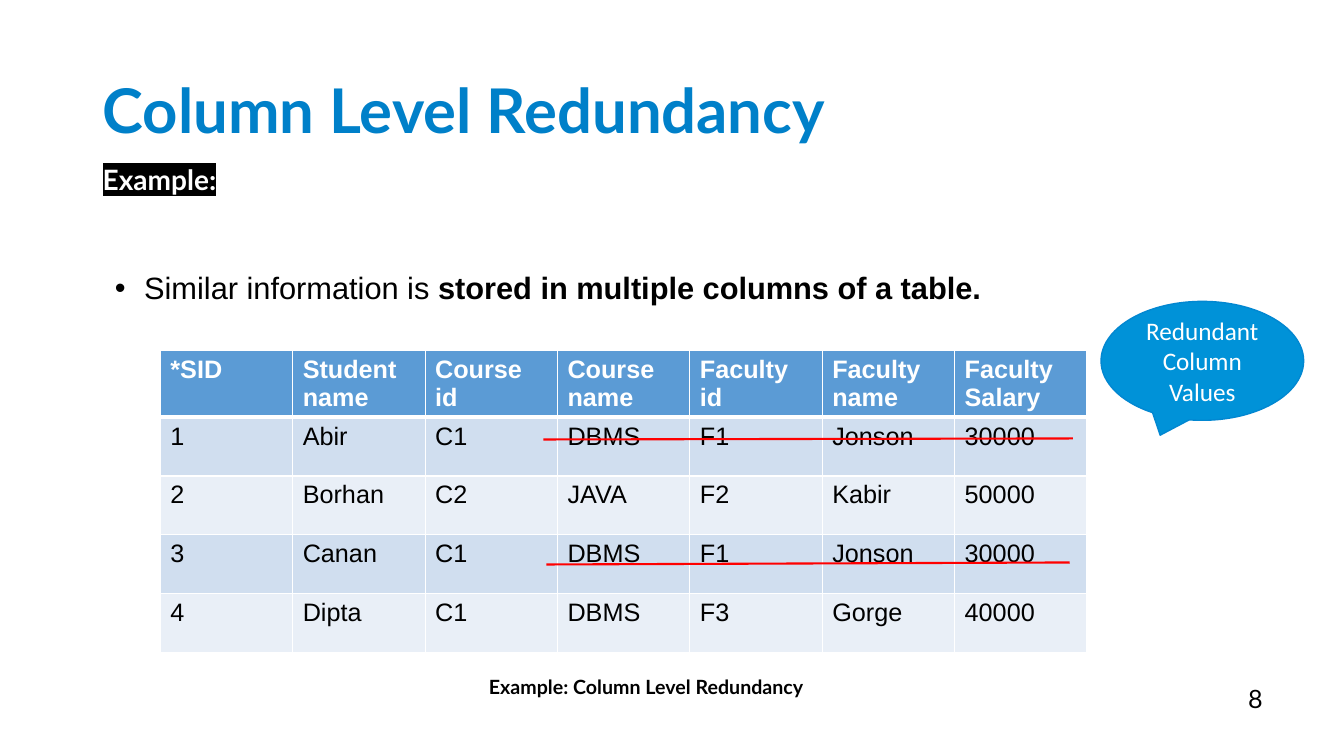
from dataclasses import dataclass

from lxml import etree
from pptx import Presentation
from pptx.dml.color import RGBColor
from pptx.enum.shapes import MSO_CONNECTOR, MSO_SHAPE
from pptx.enum.text import MSO_ANCHOR, MSO_AUTO_SIZE, PP_ALIGN
from pptx.oxml.ns import qn
from pptx.util import Inches, Pt

LEFT, CENTER = PP_ALIGN.LEFT, PP_ALIGN.CENTER
MIDDLE, TOP = MSO_ANCHOR.MIDDLE, MSO_ANCHOR.TOP
NO_FIT = MSO_AUTO_SIZE.NONE
STRAIGHT = MSO_CONNECTOR.STRAIGHT
CALLOUT = MSO_SHAPE.OVAL_CALLOUT


@dataclass(frozen=True)
class Theme:
    """Colours, fonts and type sizes of the slide."""
    title: str = "0080C9"
    black: str = "000000"
    white: str = "FFFFFF"
    header: str = "5B9BD5"
    bands: tuple = ("D0DEEF", "E9EFF7")
    strike: str = "FF0000"
    callout: str = "0092D8"
    callout_line: str = "0287D1"
    heading_font: str = "Lato"
    body_font: str = "Arial"
    callout_font: str = "Calibri"
    title_size: int = 44
    body_size: int = 22
    label_size: int = 20
    text_size: int = 18
    caption_size: int = 14


THEME = Theme()

STUDENTS = [
    ["*SID", "Student name", "Course id", "Course name", "Faculty id",
     "Faculty name", "Faculty\nSalary"],
    ["1", "Abir", "C1", "DBMS", "F1", "Jonson", "30000"],
    ["2", "Borhan", "C2", "JAVA", "F2", "Kabir", "50000"],
    ["3", "Canan", "C1", "DBMS", "F1", "Jonson", "30000"],
    ["4", "Dipta", "C1", "DBMS", "F3", "Gorge", "40000"],
]


def rgb(color):
    """Turn a hex string into a colour."""
    return RGBColor.from_string(color)


def format_text(tf, font, size, color, bold=False, align=LEFT):
    """Format every run of a text frame alike."""
    for p in tf.paragraphs:
        p.alignment = align
        for r in p.runs:
            r.font.name = font
            r.font.size = Pt(size)
            r.font.bold = bold
            r.font.color.rgb = rgb(color)


def place(sp, left, top, width, height):
    """Move and size a shape, in inches."""
    sp.left, sp.top = Inches(left), Inches(top)
    sp.width, sp.height = Inches(width), Inches(height)


def set_title(slide, text):
    """Fill the title placeholder."""
    sp = slide.shapes.title
    place(sp, 0.92, 0.4, 11.5, 1.45)
    tf = sp.text_frame
    tf.text = text
    tf.auto_size = NO_FIT
    tf.vertical_anchor = MIDDLE
    tf.paragraphs[0].line_spacing = 0.9
    format_text(tf, THEME.heading_font, THEME.title_size, THEME.title, True)


def set_bullet(slide, plain, strong):
    """Fill the body placeholder with one bullet that ends in bold."""
    sp = slide.placeholders[1]
    place(sp, 1, 2.66, 11.5, 4.12)
    tf = sp.text_frame
    tf.auto_size = NO_FIT
    tf.vertical_anchor = TOP
    p = tf.paragraphs[0]
    pPr = p._p.get_or_add_pPr()
    pPr.set("marL", str(Inches(0.33)))
    pPr.set("indent", str(-Inches(0.29)))
    etree.SubElement(pPr, qn("a:buFont"), typeface=THEME.body_font)
    etree.SubElement(pPr, qn("a:buChar"), char="•")
    p.line_spacing = 0.9
    p.space_before = Pt(0)
    for text in (plain, strong):
        p.add_run().text = text
    format_text(tf, THEME.body_font, THEME.body_size, THEME.black)
    p.runs[-1].font.bold = True


def add_label(slide, text, box, size, color, inset=0.1, **style):
    """Add a text box in the heading font."""
    sp = slide.shapes.add_textbox(*map(Inches, box))
    tf = sp.text_frame
    tf.word_wrap = True
    tf.margin_top = tf.margin_bottom = Inches(inset)
    tf.text = text
    format_text(tf, THEME.heading_font, size, color, **style)
    return sp


def highlight(sp, color):
    """Put a highlight behind the runs of a shape."""
    for r in sp.text_frame.paragraphs[0].runs:
        mark = etree.Element(qn("a:highlight"))
        etree.SubElement(mark, qn("a:srgbClr"), val=color)
        r.font._element.find(qn("a:solidFill")).addnext(mark)


def set_borders(cell, top, bottom):
    """Draw white borders around a cell, with widths in points."""
    tcPr = cell._tc.get_or_add_tcPr()
    for side, width in (("L", 1), ("R", 1), ("T", top), ("B", bottom)):
        ln = etree.SubElement(tcPr, qn(f"a:ln{side}"), w=str(Pt(width)))
        fill = etree.SubElement(ln, qn("a:solidFill"))
        etree.SubElement(fill, qn("a:srgbClr"), val=THEME.white)


def add_student_table(slide, rows):
    """Add the table with a header row and banded rows."""
    n_rows, n_cols = len(rows), len(rows[0])
    frame = slide.shapes.add_table(
        n_rows, n_cols, Inches(1.59), Inches(3.48),
        Inches(1.313 * n_cols), Inches(0.583 * n_rows))
    for i, row in enumerate(rows):
        is_header = i == 0
        fill = THEME.header if is_header else THEME.bands[(i - 1) % 2]
        color = THEME.white if is_header else THEME.black
        for j, text in enumerate(row):
            cell = frame.table.cell(i, j)
            cell.text_frame.text = text
            format_text(cell.text_frame, THEME.body_font, THEME.text_size,
                        color, is_header)
            set_borders(cell, 3 if i == 1 else 1, 3 if is_header else 1)
            cell.fill.solid()
            cell.fill.fore_color.rgb = rgb(fill)


def add_strike(slide, *ends):
    """Add a red line across redundant values."""
    line = slide.shapes.add_connector(STRAIGHT, *map(Inches, ends))
    line.line.color.rgb = rgb(THEME.strike)
    line.line.width = Pt(1.5)
    etree.SubElement(line._element.spPr, qn("a:effectLst"))


def add_callout(slide, text):
    """Add the speech bubble beside the table."""
    sp = slide.shapes.add_shape(
        CALLOUT, Inches(10.92), Inches(2.99), Inches(2.01), Inches(1.18))
    sp.shadow.inherit = False
    sp.adjustments[0], sp.adjustments[1] = -0.208, 0.625
    sp.fill.solid()
    sp.fill.fore_color.rgb = rgb(THEME.callout)
    sp.line.color.rgb = rgb(THEME.callout_line)
    sp.line.width = Pt(1)
    tf = sp.text_frame
    tf.word_wrap = True
    tf.vertical_anchor = MIDDLE
    tf.text = text
    format_text(tf, THEME.callout_font, THEME.text_size, THEME.white,
                align=CENTER)


def main():
    """Build and save the slide."""
    prs = Presentation()
    prs.slide_width, prs.slide_height = Inches(13.33), Inches(7.5)
    slide = prs.slides.add_slide(prs.slide_layouts[1])
    set_title(slide, "Column Level Redundancy")
    set_bullet(slide, "Similar information is ",
               "stored in multiple columns of a table.")
    add_student_table(slide, STUDENTS)
    add_strike(slide, 5.39, 4.36, 10.64, 4.35)
    add_strike(slide, 5.42, 5.6, 10.61, 5.58)
    add_callout(slide, "Redundant Column Values")
    add_label(slide, "Example: Column Level Redundancy", (4.55, 6.6, 3.72, 0.63),
              THEME.caption_size, THEME.black, bold=True, align=CENTER)
    example = add_label(slide, "Example:", (0.92, 1.51, 5.18, 0.57),
                        THEME.label_size, THEME.white, bold=True)
    highlight(example, THEME.black)
    add_label(slide, "8", (12.28, 6.73, 1.05, 0.4), THEME.text_size,
              THEME.black, inset=0.05)
    prs.save("out.pptx")


if __name__ == "__main__":
    main()
